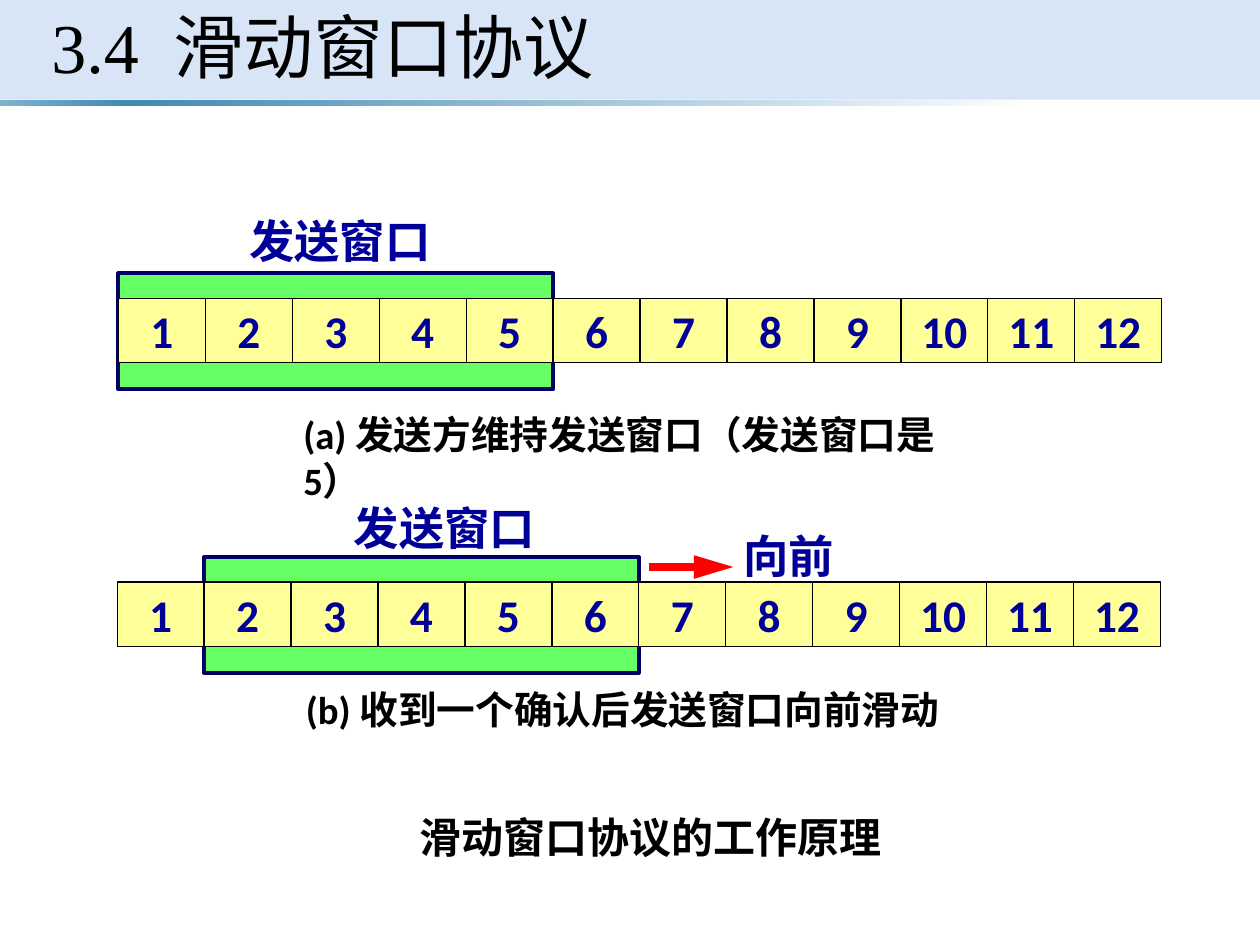
from dataclasses import dataclass

from lxml import etree
from pptx import Presentation
from pptx.dml.color import RGBColor
from pptx.enum.shapes import MSO_CONNECTOR, MSO_SHAPE
from pptx.enum.text import MSO_ANCHOR, PP_ALIGN
from pptx.oxml.ns import qn
from pptx.util import Pt

EMU_PER_PX = 9144  # 100 px to the inch
RECTANGLE = MSO_SHAPE.RECTANGLE
STRAIGHT = MSO_CONNECTOR.STRAIGHT
TOP, MIDDLE = MSO_ANCHOR.TOP, MSO_ANCHOR.MIDDLE
LEFT, CENTER = PP_ALIGN.LEFT, PP_ALIGN.CENTER

COLORS = {
    "header": "C8DAF4",
    "window": "66FF66",
    "window_line": "000066",
    "strip": "FFFF99",
    "label": "000099",
    "black": "000000",
    "arrow": "FF0000",
}
RULE_STOPS = ((0, "7EB3D0"), (10, "418AB3"), (82, "FFFFFF"), (96, "FFFFFF"))
CELL_COUNT, CELL_WIDTH, CELL_HEIGHT = 12, 69, 51
WINDOW_CELLS, WINDOW_HEIGHT, WINDOW_OVERHANG = 5, 92, 20


@dataclass(frozen=True)
class Box:
    left: int
    top: int
    width: int
    height: int


@dataclass(frozen=True)
class Label:
    text: str
    box: Box
    size: float
    color: str = "black"
    font: str = "Calibri"
    bold: bool = True
    align: PP_ALIGN = LEFT
    anchor: MSO_ANCHOR = TOP
    wrap: bool = False
    right_inset: int = 10
    line_spacing: float = 1.0


@dataclass(frozen=True)
class Sequence:
    left: int
    top: int
    first_in_window: int
    labels: tuple[Label, ...]


TITLE = Label("3.4  滑动窗口协议", Box(31, 0, 940, 81), 40, font="Times New Roman",
              bold=False, anchor=MIDDLE, wrap=True, line_spacing=0.9)
FIGURE_NAME = Label("滑动窗口协议的工作原理", Box(251, 639, 531, 50), 24,
                    font="Times New Roman", align=CENTER, wrap=True)
SEQUENCES = (
    Sequence(94, 237, 1, (
        Label("(a) 发送方维持发送窗口（发送窗口是 5）", Box(231, 321, 584, 47), 22.1,
              wrap=True, right_inset=40),
        Label("发送窗口", Box(188, 164, 166, 54), 25.9, "label"),
    )),
    Sequence(93, 462, 2, (
        Label("(b) 收到一个确认后发送窗口向前滑动", Box(233, 539, 531, 47), 22.1),
        Label("向前", Box(580, 414, 93, 54), 25.9, "label"),
        Label("发送窗口", Box(271, 392, 166, 54), 25.9, "label"),
    )),
)


def px(value: int) -> int:
    return value * EMU_PER_PX


def rgb(name: str) -> RGBColor:
    return RGBColor.from_string(COLORS[name])


def emu(box: Box) -> tuple[int, int, int, int]:
    return px(box.left), px(box.top), px(box.width), px(box.height)


def add_rectangle(shapes, box: Box, fill: str, line: str = "", line_width: float = 0):
    shape = shapes.add_shape(RECTANGLE, *emu(box))
    shape.shadow.inherit = False
    shape.fill.solid()
    shape.fill.fore_color.rgb = rgb(fill)
    if line:
        shape.line.color.rgb = rgb(line)
        shape.line.width = Pt(line_width)
    else:
        shape.line.fill.background()
    return shape


def add_line(shapes, start: tuple[int, int], end: tuple[int, int], color: str, width: float):
    line = shapes.add_connector(STRAIGHT, *map(px, start + end))
    line.line.color.rgb = rgb(color)
    line.line.width = Pt(width)
    etree.SubElement(line._element.spPr, qn("a:effectLst"))
    return line


def add_label(shapes, label: Label) -> None:
    frame = shapes.add_textbox(*emu(label.box)).text_frame
    frame.word_wrap = label.wrap
    frame.vertical_anchor = label.anchor
    frame.margin_right = px(label.right_inset)
    paragraph = frame.paragraphs[0]
    paragraph.text = label.text
    paragraph.alignment = label.align
    paragraph.line_spacing = label.line_spacing
    font = paragraph.font
    font.name, font.size, font.bold = label.font, Pt(label.size), label.bold
    font.color.rgb = rgb(label.color)


def add_header(shapes) -> None:
    band = add_rectangle(shapes, Box(0, 0, 1000, 79), "header")
    color = band._element.spPr.find(qn("a:solidFill"))[0]
    etree.SubElement(color, qn("a:alpha"), val="70000")

    rule = add_rectangle(shapes, Box(0, 79, 1000, 5), "header")
    rule.fill.gradient()
    rule.fill.gradient_angle = 0
    stops = rule._element.spPr.find(qn("a:gradFill")).find(qn("a:gsLst"))
    for stop in list(stops):
        stops.remove(stop)
    for percent, value in RULE_STOPS:
        stop = etree.SubElement(stops, qn("a:gs"), pos=str(percent * 1000))
        etree.SubElement(stop, qn("a:srgbClr"), val=value)


def add_sequence(slide, sequence: Sequence) -> None:
    shapes = slide.shapes.add_group_shape().shapes
    left, top = sequence.left, sequence.top

    # Send window behind the strip of frames
    window_left = left + (sequence.first_in_window - 1) * CELL_WIDTH
    add_rectangle(shapes, Box(window_left, top - WINDOW_OVERHANG,
                              WINDOW_CELLS * CELL_WIDTH, WINDOW_HEIGHT),
                  "window", "window_line", 2.25)
    add_rectangle(shapes, Box(left, top, CELL_COUNT * CELL_WIDTH, CELL_HEIGHT),
                  "strip", "black", 0.75)

    # Numbered cells and the dividers between them
    for index in range(CELL_COUNT):
        cell_left = left + index * CELL_WIDTH
        add_label(shapes, Label(str(index + 1), Box(cell_left, top, CELL_WIDTH, CELL_HEIGHT),
                                25.9, "label", align=CENTER, anchor=MIDDLE))
        if index:
            add_line(shapes, (cell_left, top), (cell_left, top + CELL_HEIGHT), "black", 0.75)

    for label in sequence.labels:
        add_label(shapes, label)


def add_forward_arrow(shapes) -> None:
    arrow = add_line(shapes, (515, 450), (582, 450), "arrow", 4.5)
    etree.SubElement(arrow.line._get_or_add_ln(), qn("a:tailEnd"),
                     type="triangle", w="med", len="lg")


def main() -> None:
    presentation = Presentation()
    presentation.slide_width, presentation.slide_height = px(1000), px(750)
    slide = presentation.slides.add_slide(presentation.slide_layouts[6])

    add_header(slide.shapes)
    for sequence in SEQUENCES:
        add_sequence(slide, sequence)
    add_forward_arrow(slide.shapes)
    add_label(slide.shapes, FIGURE_NAME)
    add_label(slide.shapes, TITLE)

    presentation.save("out.pptx")


if __name__ == "__main__":
    main()
